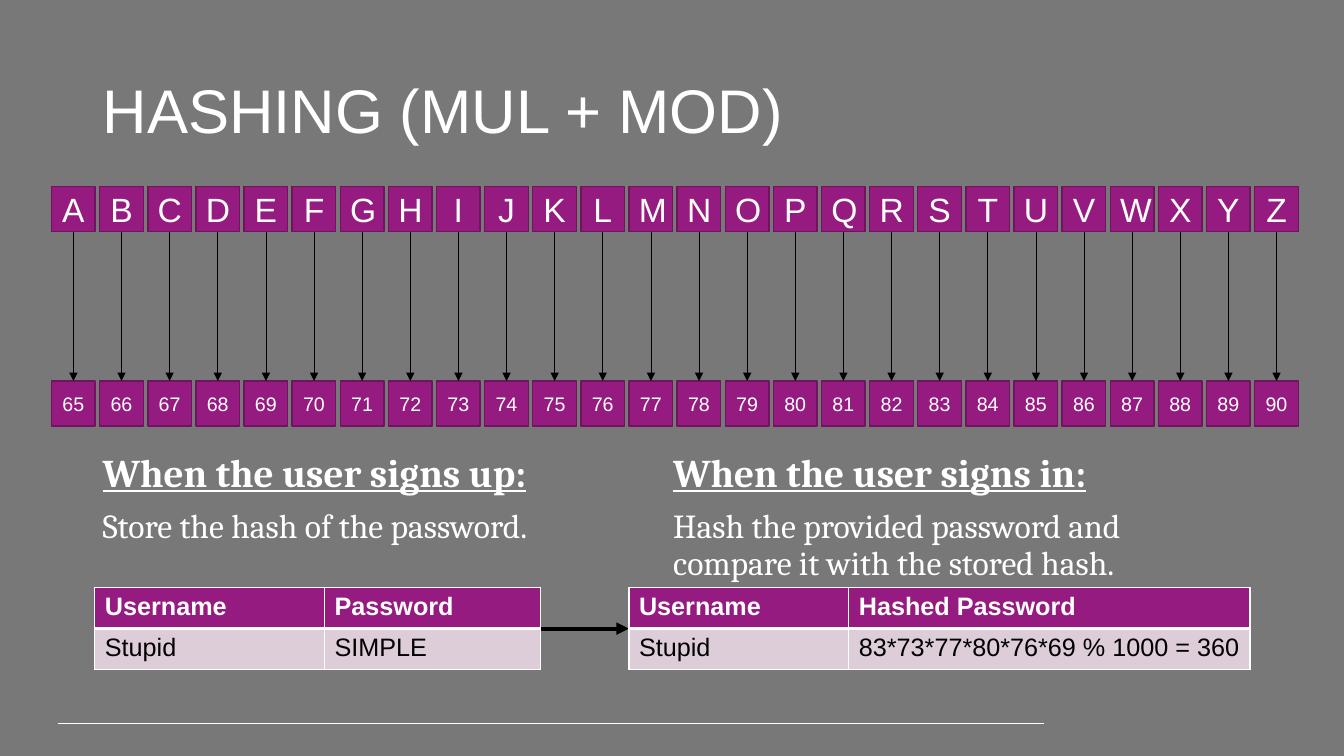
from pptx import Presentation
from pptx.dml.color import RGBColor
from pptx.enum.shapes import MSO_CONNECTOR, MSO_SHAPE
from pptx.enum.text import MSO_ANCHOR, MSO_AUTO_SIZE, PP_ALIGN
from pptx.oxml.ns import qn
from pptx.util import Cm, Pt
from lxml.etree import SubElement

COLOURS = {
    "background": "787878",
    "purple": "961B81",
    "purple edge": "6F145F",
    "pale": "DDCDD8",
    "white": "FFFFFF",
    "black": "000000",
}
LETTERS = "ABCDEFGHIJKLMNOPQRSTUVWXYZ"


def colour(name):
    """Return the named colour."""
    return RGBColor.from_string(COLOURS[name])


def format_para(para, size, ink="white", font="Arial", bold=False, underline=False):
    """Format every run of a paragraph."""
    for span in para.runs:
        span.font.size = Pt(size)
        span.font.name = font
        span.font.bold = bold
        span.font.underline = underline
        span.font.color.rgb = colour(ink)


def place(item, box):
    """Move an object to a box of left, top, width and height in centimetres."""
    item.left, item.top, item.width, item.height = (Cm(value) for value in box)


def add_line(page, start, end, ink, width, arrow=False):
    """Draw a straight line, with an arrowhead at its end if asked."""
    line = page.shapes.add_connector(
        MSO_CONNECTOR.STRAIGHT, *(Cm(value) for value in (*start, *end)))
    line.line.color.rgb = colour(ink)
    line.line.width = Pt(width)
    if arrow:
        SubElement(line.line._get_or_add_ln(), qn("a:tailEnd"), type="triangle")
    SubElement(line._element.spPr, qn("a:effectLst"))


def add_title(page, box, text):
    """Fill the title placeholder."""
    title = page.shapes.title
    place(title, box)
    frame = title.text_frame
    frame.text = text
    frame.vertical_anchor = MSO_ANCHOR.MIDDLE
    para = frame.paragraphs[0]
    para.alignment = PP_ALIGN.LEFT
    para.line_spacing = 0.9
    format_para(para, 44)


def add_square(page, box, text, size):
    """Draw one purple square with centred text."""
    square = page.shapes.add_shape(
        MSO_SHAPE.RECTANGLE, *(Cm(value) for value in box))
    square.shadow.inherit = False
    square.fill.solid()
    square.fill.fore_color.rgb = colour("purple")
    square.line.color.rgb = colour("purple edge")
    square.line.width = Pt(1)
    frame = square.text_frame
    frame.text = text
    frame.vertical_anchor = MSO_ANCHOR.MIDDLE
    frame.paragraphs[0].alignment = PP_ALIGN.CENTER
    format_para(frame.paragraphs[0], size)


def add_letter_codes(page, box):
    """Draw the letters above their character codes, joined by arrows."""
    left, top, width, height = box
    cell_width, cell_height = 1.1, 1.14
    pitch = (width - cell_width) / (len(LETTERS) - 1)
    code_top = top + height - cell_height
    for index, letter in enumerate(LETTERS):
        x = left + index * pitch
        centre = x + cell_width / 2
        add_square(page, (x, top, cell_width, cell_height), letter, 24)
        add_square(page, (x, code_top, cell_width, cell_height), str(ord(letter)), 14)
        add_line(page, (centre, top + cell_height), (centre, code_top),
                 "black", 0.5, arrow=True)


def add_step(holder, box, heading, detail):
    """Fill a body placeholder with an underlined heading and a sentence."""
    place(holder, box)
    frame = holder.text_frame
    frame.text = f"{heading}\n{detail}"
    frame.word_wrap = True
    frame.auto_size = MSO_AUTO_SIZE.SHAPE_TO_FIT_TEXT
    for para in frame.paragraphs:
        para.line_spacing = 0.9
        para.space_before = Pt(10)
        properties = para._p.get_or_add_pPr()
        properties.set("marL", "0")
        properties.set("indent", "0")
        SubElement(properties, qn("a:buNone"))
    format_para(frame.paragraphs[0], 28, font="Cambria", bold=True, underline=True)
    format_para(frame.paragraphs[1], 24, font="Cambria")


def add_borders(cell, bottom):
    """Give a cell white borders, with the bottom one as thick as asked."""
    properties = cell._tc.get_or_add_tcPr()
    for side, width in (("L", 1), ("R", 1), ("T", 1), ("B", bottom)):
        border = SubElement(properties, qn(f"a:ln{side}"), w=str(Pt(width)))
        fill = SubElement(border, qn("a:solidFill"))
        SubElement(fill, qn("a:srgbClr"), val=COLOURS["white"])


def add_user_table(page, box, first_width, rows):
    """Draw a two-column table with a purple header row."""
    left, top, width, height = box
    table = page.shapes.add_table(
        len(rows), 2, *(Cm(value) for value in box)).table
    table.columns[0].width = Cm(first_width)
    table.columns[1].width = Cm(width - first_width)
    for row_index, texts in enumerate(rows):
        header = row_index == 0
        for column_index, text in enumerate(texts):
            cell = table.cell(row_index, column_index)
            add_borders(cell, 3 if header else 1)
            cell.fill.solid()
            cell.fill.fore_color.rgb = colour("purple" if header else "pale")
            cell.text_frame.text = text
            format_para(cell.text_frame.paragraphs[0], 18,
                        "white" if header else "black", bold=header)


def build_hashing_page(deck):
    """Build the slide on hashing passwords."""
    page = deck.slides.add_slide(deck.slide_layouts[3])
    page.background.fill.solid()
    page.background.fill.fore_color.rgb = colour("background")
    add_line(page, (1.45, 18.23), (26.32, 18.23), "white", 0.75)
    add_title(page, (2.33, 1.01, 29.21, 3.68), "HASHING (MUL + MOD)")
    add_letter_codes(page, (1.3, 4.7, 31.42, 6.04))

    table_top, table_height = 14.81, 2.06
    middle = table_top + table_height / 2
    add_line(page, (13.62, middle), (15.85, middle), "black", 3, arrow=True)
    add_user_table(page, (2.39, table_top, 11.23, table_height), 5.79,
                   [("Username", "Password"), ("Stupid", "SIMPLE")])
    add_user_table(page, (15.85, table_top, 15.65, table_height), 5.54,
                   [("Username", "Hashed Password"),
                    ("Stupid", "83*73*77*80*76*69 % 1000 = 360")])

    add_step(page.placeholders[1], (2.33, 11.3, 14.4, 2.62),
             "When the user signs up:", "Store the hash of the password.")
    add_step(page.placeholders[2], (16.71, 11.3, 14.4, 3.53),
             "When the user signs in:",
             "Hash the provided password and compare it with the stored hash.")


deck = Presentation()
deck.slide_width, deck.slide_height = Cm(33.87), Cm(19.05)
build_hashing_page(deck)
deck.save("out.pptx")
